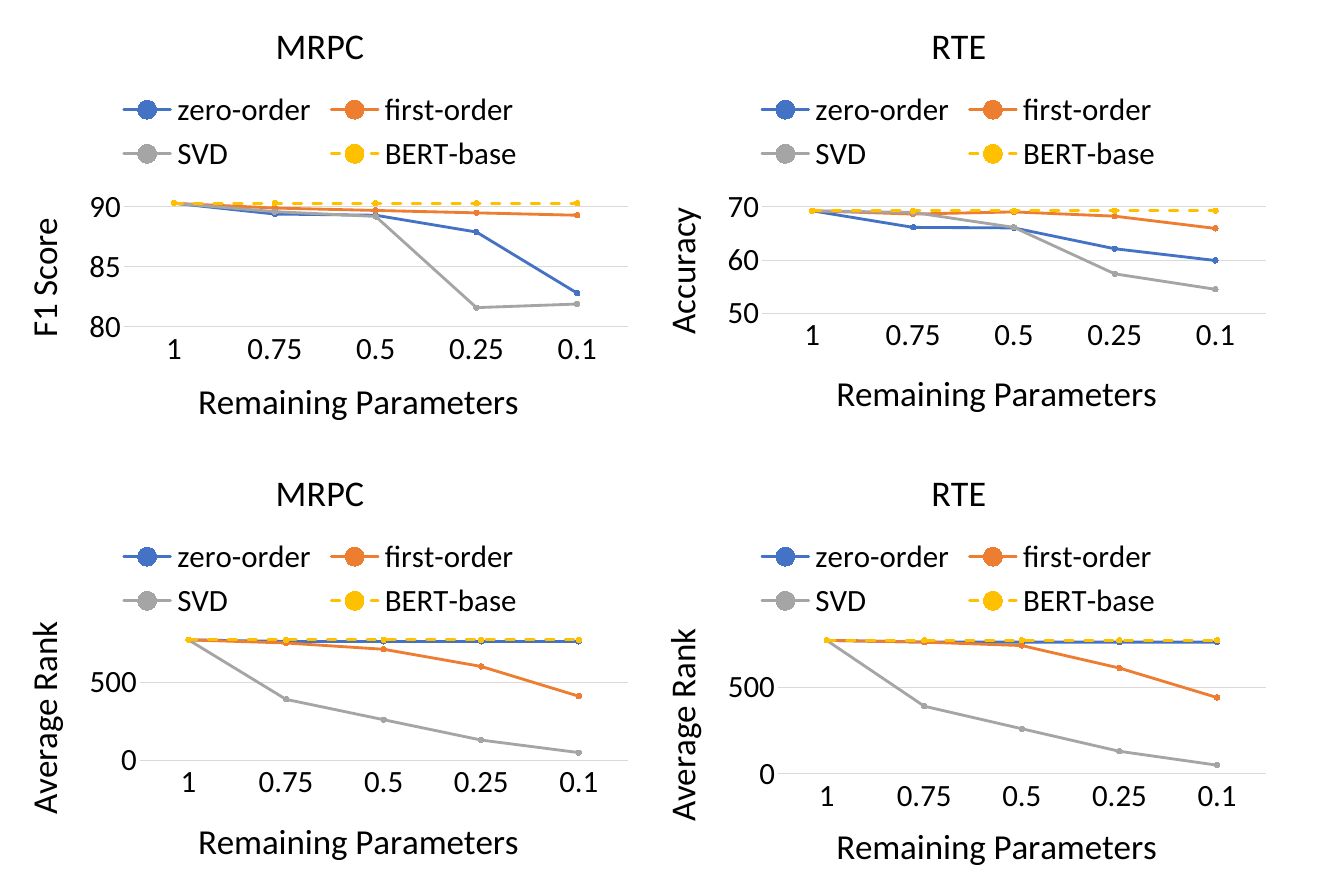
from dataclasses import dataclass

import pptx
import pptx.chart.data
import pptx.dml.color
import pptx.enum.chart
import pptx.enum.dml
import pptx.oxml
import pptx.oxml.ns
import pptx.util

Pt = pptx.util.Pt
qn = pptx.oxml.ns.qn


@dataclass(frozen=True)
class Theme:
    font: str = "Calibri"
    text: str = "000000"
    grid: str = "D9D9D9"
    title: float = 35
    axis_title: float = 34
    label: float = 30
    hairline: float = 0.75
    series_line: float = 2.75
    marker: int = 5


@dataclass(frozen=True)
class Method:
    name: str
    color: str
    dash: bool = False


@dataclass(frozen=True)
class Panel:
    """One chart; positions inside it are points from its top left corner."""
    column: int
    row: int
    title: str
    title_x: float
    metric: str
    metric_y: float
    scale: tuple[float, float, float]  # minimum, maximum, step
    plot: tuple[float, float, float]  # left, top, bottom
    params_y: float
    values: tuple[tuple[float, ...], ...]


THEME = Theme()
POINTS_PER_CM = 72 / 2.54
SLIDE_W, SLIDE_H = 46 * POINTS_PER_CM, 30 * POINTS_PER_CM
CHART_W, CHART_H = 621.36, 425.52
COLUMN_STEP, ROW_STEP = 619.2, 433.44
TITLE_Y, PARAMS_X, METRIC_X, PLOT_RIGHT = 13, 186, 13, 609

REMAINING = ("1", "0.75", "0.5", "0.25", "0.1")
METHODS = (
    Method("zero-order", "4472C4"),
    Method("first-order", "ED7D31"),
    Method("SVD", "A5A5A5"),
    Method("BERT-base", "FFC000", dash=True),
)
ZERO_RANK = (770, 760, 760, 760, 760)
SVD_RANK = (770, 390, 260, 130, 50)
PANELS = (
    Panel(0, 0, "MRPC", 261, "F1 Score", 205, (80, 91, 5), (120, 189, 317), 359,
          ((90.3, 89.4, 89.3, 87.9, 82.8), (90.3, 89.9, 89.7, 89.5, 89.3),
           (90.3, 89.6, 89.2, 81.6, 81.9), (90.3,) * 5)),
    Panel(0, 1, "MRPC", 261, "Average Rank", 163, (0, 800, 500), (135.5, 182.5, 304), 353,
          (ZERO_RANK, (770, 750, 710, 600, 410), SVD_RANK, (770,) * 5)),
    Panel(1, 0, "RTE", 278, "Accuracy", 195, (50, 72, 10), (120, 190, 304), 352,
          ((69.2, 66.1, 66, 62.1, 59.9), (69.2, 68.6, 69, 68.2, 65.9),
           (69.2, 68.9, 66.1, 57.4, 54.5), (69.2,) * 5)),
    Panel(1, 1, "RTE", 278, "Average Rank", 170, (0, 800, 500), (135.5, 182.5, 317), 358,
          (ZERO_RANK, (770, 760, 740, 610, 440), SVD_RANK, (770,) * 5)),
)


def rgb(color: str) -> pptx.dml.color.RGBColor:
    return pptx.dml.color.RGBColor.from_string(color)


def set_all(target, values: dict) -> None:
    for name, value in values.items():
        setattr(target, name, value)


def style_font(font, size: float) -> None:
    set_all(font, {"name": THEME.font, "size": Pt(size), "bold": False})
    font.color.rgb = rgb(THEME.text)


def style_line(line, color: str, width: float) -> None:
    line.color.rgb = rgb(color)
    line.width = Pt(width)


def place(element, index: int, x: float, y: float, size: tuple[float, float] | None = None) -> None:
    """Give a chart part a fixed place, as fractions of the chart."""
    for old in element.findall(qn("c:layout")):
        element.remove(old)
    parts = {"xMode": "edge", "yMode": "edge", "x": x / CHART_W, "y": y / CHART_H}
    if size:
        parts = {"layoutTarget": "inner"} | parts
        parts |= {"w": size[0] / CHART_W, "h": size[1] / CHART_H}
    layout = pptx.oxml.parse_xml(
        f'<c:layout {pptx.oxml.ns.nsdecls("c")}><c:manualLayout>'
        + "".join(f'<c:{tag} val="{value}"/>' for tag, value in parts.items())
        + "</c:manualLayout></c:layout>")
    element.insert(index, layout)


def write_title(title, text: str, size: float, x: float, y: float, upright: bool = False) -> None:
    tf = title.text_frame
    r = tf.paragraphs[0].add_run()
    r.text = text
    style_font(r.font, size)
    if upright:
        body = title.element.find(".//" + qn("a:bodyPr"))
        body.set("rot", "-5400000")
        body.set("vert", "horz")
    place(title.element, 1, x, y)


def style_axes(chart, panel: Panel) -> None:
    low, high, step = panel.scale
    cat, val = chart.category_axis, chart.value_axis
    for axis in (cat, val):
        set_all(axis, {"major_tick_mark": pptx.enum.chart.XL_TICK_MARK.NONE,
                       "minor_tick_mark": pptx.enum.chart.XL_TICK_MARK.NONE})
        style_font(axis.tick_labels.font, THEME.label)
    set_all(val, {"minimum_scale": low, "maximum_scale": high, "major_unit": step,
                  "has_major_gridlines": True})
    set_all(val.tick_labels, {"number_format": "General", "number_format_is_linked": False})
    val.format.line.fill.background()
    style_line(val.major_gridlines.format.line, THEME.grid, THEME.hairline)
    style_line(cat.format.line, THEME.grid, THEME.hairline)
    write_title(cat.axis_title, "Remaining Parameters", THEME.axis_title, PARAMS_X, panel.params_y)
    write_title(val.axis_title, panel.metric, THEME.axis_title, METRIC_X, panel.metric_y, upright=True)


def style_series(series, method: Method) -> None:
    series.smooth = False
    style_line(series.format.line, method.color, THEME.series_line)
    if method.dash:
        series.format.line.dash_style = pptx.enum.dml.MSO_LINE.DASH
    set_all(series.marker, {"style": pptx.enum.chart.XL_MARKER_STYLE.CIRCLE, "size": THEME.marker})
    series.marker.format.fill.solid()
    series.marker.format.fill.fore_color.rgb = rgb(method.color)
    style_line(series.marker.format.line, method.color, THEME.hairline)


def draw_panel(s, panel: Panel) -> None:
    data = pptx.chart.data.CategoryChartData()
    data.categories = REMAINING
    for method, values in zip(METHODS, panel.values):
        data.add_series(method.name, values)
    chart = s.shapes.add_chart(
        pptx.enum.chart.XL_CHART_TYPE.LINE_MARKERS,
        Pt(panel.column * COLUMN_STEP), Pt(panel.row * ROW_STEP),
        Pt(CHART_W), Pt(CHART_H), data).chart
    style_font(chart.font, 10)
    set_all(chart, {"has_title": True, "has_legend": True})
    chart.plots[0].vary_by_categories = False

    # Title and legend
    write_title(chart.chart_title, panel.title, THEME.title, panel.title_x, TITLE_Y)
    set_all(chart.legend, {"position": pptx.enum.chart.XL_LEGEND_POSITION.TOP,
                           "include_in_layout": False})
    style_font(chart.legend.font, THEME.label)

    # Axes, round-capped lines and plot area
    style_axes(chart, panel)
    for series, method in zip(chart.plots[0].series, METHODS):
        style_series(series, method)
    plot_area = chart.element.find(".//" + qn("c:plotArea"))
    for line in plot_area.findall("/".join((".", "", qn("c:ser"), qn("c:spPr"), qn("a:ln")))):
        line.set("cap", "rnd")
    left, top, bottom = panel.plot
    place(plot_area, 0, left, top, (PLOT_RIGHT - left, bottom - top))


def main() -> None:
    prs = pptx.Presentation()
    prs.slide_width = Pt(SLIDE_W)
    prs.slide_height = Pt(SLIDE_H)
    s = prs.slides.add_slide(prs.slide_layouts[6])
    for panel in PANELS:
        draw_panel(s, panel)
    prs.save("out.pptx")


if __name__ == "__main__":
    main()
